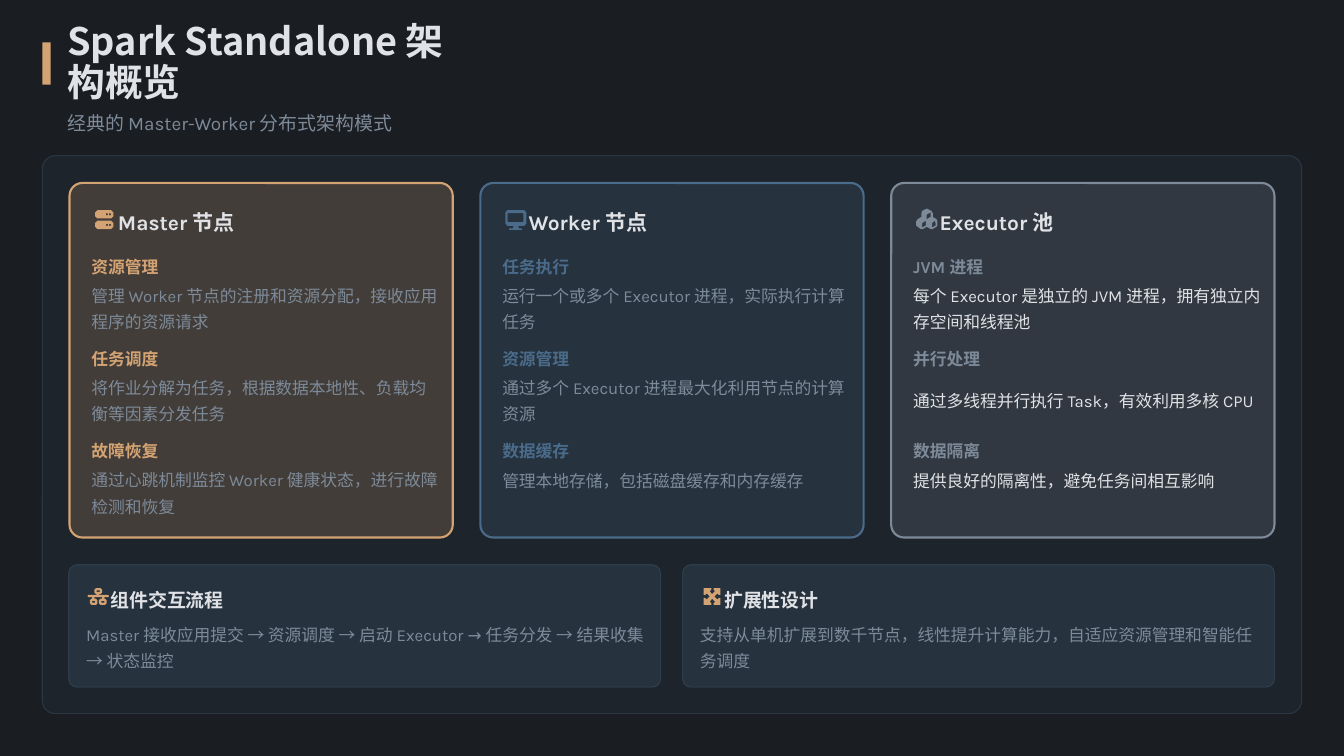
from lxml.etree import SubElement
from pptx import Presentation
from pptx.dml.color import RGBColor
from pptx.enum.shapes import MSO_SHAPE
from pptx.enum.text import MSO_ANCHOR, MSO_AUTO_SIZE, PP_ALIGN
from pptx.oxml.ns import qn
from pptx.util import Inches, Pt

DARK = RGBColor(0x1A, 0x1D, 0x21)
SAND = RGBColor(0xD4, 0xA3, 0x73)
BLUE = RGBColor(0x4A, 0x6B, 0x8A)
GREY = RGBColor(0x7D, 0x8A, 0x99)
LIGHT = RGBColor(0xE0, 0xE2, 0xE6)
CJK = "Noto Sans CJK SC"

MARGIN = 0.56
CARD_X = [0.92 + 5.435 * i for i in range(3)]
CARD_Y, CARD_W, CARD_H = 2.42, 5.07, 4.69
SECTION_Y = [3.32 + 1.22 * i for i in range(3)]
NOTE_X = [0.91 + 8.12 * i for i in range(2)]
NOTE_Y, NOTE_W, NOTE_H = 7.47, 7.83, 1.62

cards = [
    ("Master 节点", SAND, GREY, [
        ("资源管理", "管理 Worker 节点的注册和资源分配，接收应用程序的资源请求"),
        ("任务调度", "将作业分解为任务，根据数据本地性、负载均衡等因素分发任务"),
        ("故障恢复", "通过心跳机制监控 Worker 健康状态，进行故障检测和恢复"),
    ]),
    ("Worker 节点", BLUE, GREY, [
        ("任务执行", "运行一个或多个 Executor 进程，实际执行计算任务"),
        ("资源管理", "通过多个 Executor 进程最大化利用节点的计算资源"),
        ("数据缓存", "管理本地存储，包括磁盘缓存和内存缓存"),
    ]),
    ("Executor 池", GREY, LIGHT, [
        ("JVM 进程", "每个 Executor 是独立的 JVM 进程，拥有独立内存空间和线程池"),
        ("并行处理", "通过多线程并行执行 Task，有效利用多核 CPU"),
        ("数据隔离", "提供良好的隔离性，避免任务间相互影响"),
    ]),
]
notes = [
    ("组件交互流程",
     "Master 接收应用提交 → 资源调度 → 启动 Executor → 任务分发 → 结果收集 → 状态监控"),
    ("扩展性设计",
     "支持从单机扩展到数千节点，线性提升计算能力，自适应资源管理和智能任务调度"),
]


def add_text(sp, box, text, size, color, bold=False, spacing=1.3, font="Karla"):
    """Place a text shape and fill it; sp is None for a new text box."""
    left, top, width, height = [Inches(v) for v in box]
    if sp is None:
        sp = s.shapes.add_textbox(left, top, width, height)
    sp.left, sp.top, sp.width, sp.height = left, top, width, height
    tf = sp.text_frame
    tf.text = text
    tf.word_wrap = True
    tf.auto_size = MSO_AUTO_SIZE.NONE
    tf.vertical_anchor = MSO_ANCHOR.MIDDLE
    tf.margin_left = tf.margin_right = tf.margin_top = tf.margin_bottom = 0
    p = tf.paragraphs[0]
    p.alignment = PP_ALIGN.LEFT
    p.line_spacing = spacing
    r = p.runs[0]
    r.font.size, r.font.bold, r.font.name = Pt(size), bold, font
    r.font.color.rgb = color
    SubElement(r.font._element, qn("a:ea"), typeface=CJK)


def box(x, y, w, h, cut=0):
    """Outline of a rectangle with its corners cut off."""
    r, b = x + w, y + h
    return [(x + cut, y), (r - cut, y), (r, y + cut), (r, b - cut),
            (r - cut, b), (x + cut, b), (x, b - cut), (x, y + cut)]


prs = Presentation()
prs.slide_width, prs.slide_height = Inches(17.78), Inches(10)
s = prs.slides.add_slide(prs.slide_layouts[5])
s.background.fill.solid()
s.background.fill.fore_color.rgb = DARK

# Heading
sp = s.shapes.add_shape(MSO_SHAPE.RECTANGLE, Inches(MARGIN), Inches(0.56),
                        Inches(0.11), Inches(0.56))
sp.shadow.inherit = False
sp.fill.solid()
sp.fill.fore_color.rgb = SAND
sp.line.fill.background()
add_text(s.shapes.title, (0.89, 0.56, 5.14, 0.56), "Spark Standalone 架构概览",
         36, LIGHT, True, 0.9, CJK)
add_text(None, (0.89, 1.39, 16.46, 0.39), "经典的 Master-Worker 分布式架构模式", 18, GREY)

# Panels: box, corner radius, colour, fill opacity, line width, line opacity
panels = [((MARGIN, 2.06, 16.66, 7.38), 0.17, BLUE, 10, 1, 30)]
panels += [((x, CARD_Y, CARD_W, CARD_H), 0.17, card[1], 20, 2, 100)
           for x, card in zip(CARD_X, cards)]
panels += [((x, NOTE_Y, NOTE_W, NOTE_H), 0.11, BLUE, 20, 1, 30) for x in NOTE_X]
for bounds, radius, color, fill_alpha, line_width, line_alpha in panels:
    sp = s.shapes.add_shape(MSO_SHAPE.ROUNDED_RECTANGLE, *[Inches(v) for v in bounds])
    sp.adjustments[0] = radius / min(bounds[2:])
    sp.shadow.inherit = False
    sp.line.width = Pt(line_width)
    for fill, alpha in ((sp.fill, fill_alpha), (sp.line.fill, line_alpha)):
        fill.solid()
        fill.fore_color.rgb = color
    for clr, alpha in zip(sp._element.spPr.iter(qn("a:srgbClr")), (fill_alpha, line_alpha)):
        SubElement(clr, qn("a:alpha"), val=str(alpha * 1000))

# Card and note texts
for x, (heading, color, body_color, sections) in zip(CARD_X, cards):
    add_text(None, (x + 0.64, 2.71, 4.28, 0.39), heading, 20, LIGHT, True, 1.2)
    for y, (label, body) in zip(SECTION_Y, sections):
        height = 0.33 if len(body) < 20 else 0.67
        add_text(None, (x + 0.29, y, 4.6, 0.33), label, 16, color, True)
        add_text(None, (x + 0.29, y + 0.39, 4.6, height), body, 16, body_color)
for x, (heading, body) in zip(NOTE_X, notes):
    add_text(None, (x + 0.55, 7.69, 7.18, 0.39), heading, 18, LIGHT, True)
    add_text(None, (x + 0.23, 8.19, 7.49, 0.67), body, 16, GREY)

# Icons: left, top, colour, outlines in hundredths of an inch (inner ones are holes)
server = [box(0, y, 24, 11, 3) for y in (0, 14)]
server += [box(x, y, 3, 3, 1) for x in (14, 18) for y in (4, 18)]
monitor = [box(0, 0, 28, 21, 3), box(3, 4, 21, 12, 1),
           [(11, 21), (17, 21), (18, 24), (22, 24), (22, 26), (5, 26), (5, 24), (10, 24)]]
cubes = [
    [(14, 0), (20, 3), (22, 6), (22, 11), (27, 14), (28, 17), (28, 22), (27, 24),
     (22, 27), (19, 27), (14, 24), (9, 27), (6, 27), (2, 24), (0, 22), (0, 17),
     (2, 14), (7, 11), (7, 6), (8, 3)],
    [(13, 16), (13, 22), (8, 25), (8, 19)],
    [(25, 16), (26, 22), (21, 25), (21, 19)],
    [(19, 5), (19, 11), (14, 14), (14, 8)],
]
flow = [box(0, 9, 28, 3, 1), box(12, 8, 3, 1), box(6, 12, 3, 2), box(19, 12, 3, 2)]
for x, y in ((9, 0), (3, 14), (15, 14)):
    flow += [box(x, y, 10, 8, 2), box(x + 3, y + 3, 4, 2)]
expand = [[
    (0, 0), (10, 0), (10, 2), (8, 4), (11, 8), (15, 4), (13, 2), (13, 0),
    (22, 0), (22, 9), (20, 9), (18, 7), (14, 11), (18, 15), (20, 13), (22, 13),
    (22, 22), (13, 22), (13, 20), (15, 18), (11, 14), (8, 18), (10, 20), (10, 22),
    (0, 22), (0, 13), (2, 13), (4, 15), (8, 11), (4, 7), (2, 9), (0, 9)]]
icons = [
    (CARD_X[0] + 0.34, 2.78, SAND, server),
    (CARD_X[1] + 0.33, 2.78, BLUE, monitor),
    (CARD_X[2] + 0.33, 2.76, GREY, cubes),
    (NOTE_X[0] + 0.25, 7.78, SAND, flow),
    (NOTE_X[1] + 0.28, 7.78, SAND, expand),
]
for left, top, color, outlines in icons:
    builder = s.shapes.build_freeform(*outlines[0][0], scale=Inches(0.01))
    for outline in outlines:
        if outline is not outlines[0]:
            builder.move_to(*outline[0])
        builder.add_line_segments(outline[1:], close=True)
    sp = builder.convert_to_shape(Inches(left), Inches(top))
    sp.shadow.inherit = False
    sp.fill.solid()
    sp.fill.fore_color.rgb = color
    sp.line.fill.background()

prs.save("out.pptx")
